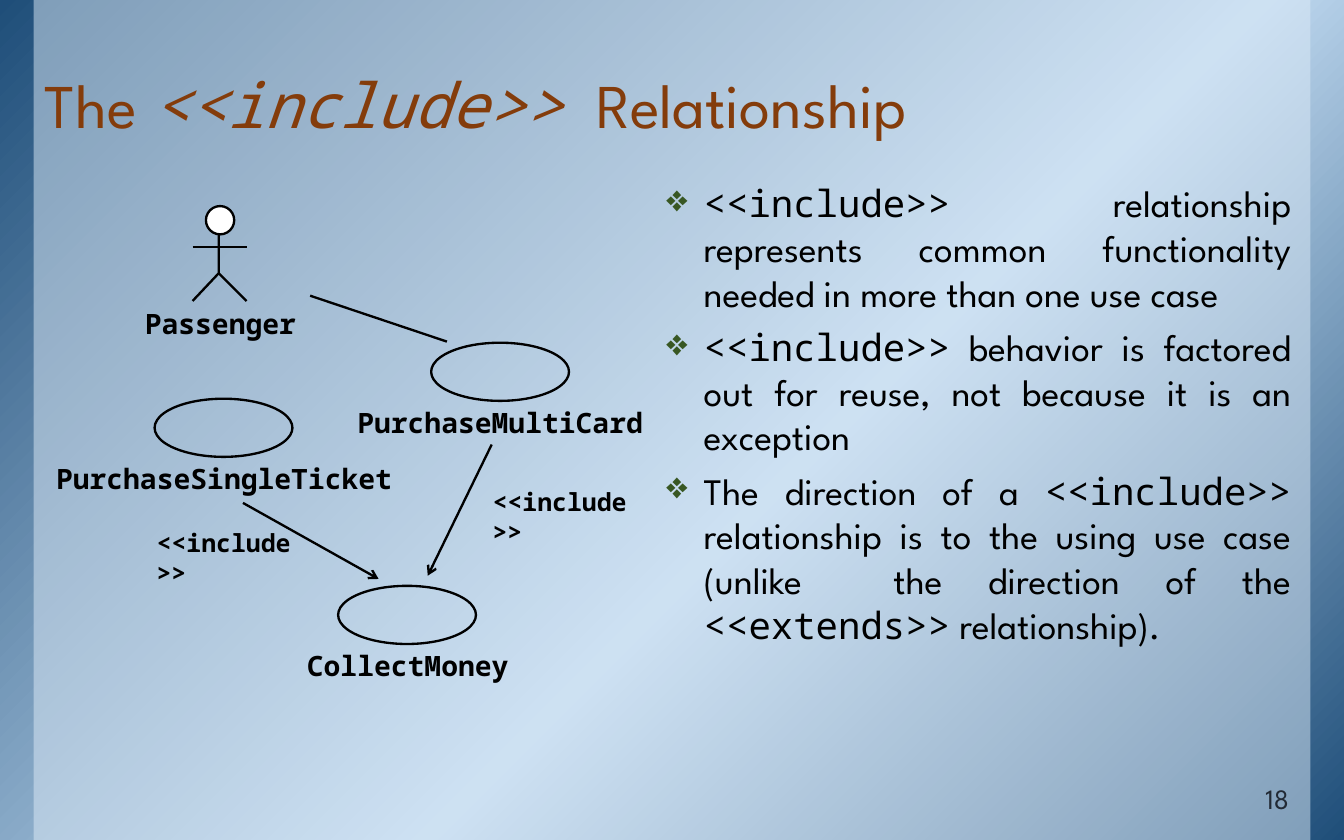
from copy import deepcopy
from dataclasses import dataclass
from typing import Any

from lxml.etree import SubElement
from pptx import Presentation
from pptx.dml.color import RGBColor
from pptx.enum.shapes import MSO_CONNECTOR, MSO_SHAPE
from pptx.enum.text import MSO_ANCHOR, PP_ALIGN
from pptx.oxml.ns import qn
from pptx.util import Pt

COLORS = {
    "edge": "1F4E79",
    "glow": "BDD7EE",
    "panel": "DEEBF7",
    "title": "843C0B",
    "bullet": "385723",
    "number": "222A35",
    "ink": "000000",
    "white": "FFFFFF",
}
SANS = "League Spartan"
MONO = "Noto Sans Mono"
WIDE_INSETS = (9.4, 5)
USE_CASE_SIZE = (88.6, 37.4)


def rgb(name):
    return RGBColor.from_string(COLORS[name])


@dataclass
class Diagram:
    slide: Any
    line_width: float = 1.5

    def shape(self, kind, left, top, width, height, fill=None, outlined=True):
        shape = self.slide.shapes.add_shape(kind, Pt(left), Pt(top), Pt(width), Pt(height))
        shape.shadow.inherit = False
        if fill:
            shape.fill.solid()
            shape.fill.fore_color.rgb = rgb(fill)
        else:
            shape.fill.background()
        self.outline(shape, outlined)
        return shape

    def outline(self, shape, outlined=True):
        if outlined:
            shape.line.color.rgb = rgb("ink")
            shape.line.width = Pt(self.line_width)
        else:
            shape.line.fill.background()

    def backdrop(self, width, height):
        shape = self.shape(MSO_SHAPE.RECTANGLE, 0, 0, width, height, outlined=False)
        shape.fill.gradient()
        shape.fill.gradient_angle = 315
        stop_list = next(shape._element.spPr.iter(qn("a:gsLst")))
        stop_list.insert(1, deepcopy(stop_list[0]))
        stops = zip(shape.fill.gradient_stops, (0, 0.58, 1), ("edge", "glow", "edge"))
        for stop, position, color in stops:
            stop.position = position
            stop.color.rgb = rgb(color)

    def panel(self, left, top, width, height):
        shape = self.shape(MSO_SHAPE.RECTANGLE, left, top, width, height, "panel", False)
        color = next(shape._element.spPr.iter(qn("a:srgbClr")))
        SubElement(color, qn("a:alpha"), val="50000")

    def line(self, start, end, arrow=False):
        points = [Pt(value) for value in (*start, *end)]
        connector = self.slide.shapes.add_connector(MSO_CONNECTOR.STRAIGHT, *points)
        self.outline(connector)
        properties = connector._element.spPr
        if arrow:
            SubElement(properties.find(qn("a:ln")), qn("a:tailEnd"), type="arrow")
        SubElement(properties, qn("a:effectLst"))

    def polyline(self, points):
        start, *rest = [(Pt(x), Pt(y)) for x, y in points]
        builder = self.slide.shapes.build_freeform(*start)
        builder.add_line_segments(rest, close=False)
        shape = builder.convert_to_shape()
        shape.shadow.inherit = False
        shape.fill.background()
        self.outline(shape)

    def text_frame(self, left, top, width, height, insets=(0, 0), wrap=True, anchor=MSO_ANCHOR.TOP):
        box = self.slide.shapes.add_textbox(Pt(left), Pt(top), Pt(width), Pt(height))
        frame = box.text_frame
        frame.word_wrap = wrap
        frame.vertical_anchor = anchor
        frame.margin_left = frame.margin_right = Pt(insets[0])
        frame.margin_top = frame.margin_bottom = Pt(insets[1])
        return frame

    def run(self, paragraph, text, size, font=SANS, color="ink", bold=False, italic=False):
        run = paragraph.add_run()
        run.text = text
        run.font.size = Pt(size)
        run.font.name = font
        run.font.bold = bold
        run.font.italic = italic
        run.font.color.rgb = rgb(color)

    def title(self, left, top, width, height, runs):
        frame = self.text_frame(left, top, width, height, WIDE_INSETS, anchor=MSO_ANCHOR.BOTTOM)
        paragraph = frame.paragraphs[0]
        paragraph.line_spacing = 0.85
        for text, size, font, italic in runs:
            self.run(paragraph, text, size, font, "title", italic=italic)

    def bullets(self, left, top, width, height, items):
        frame = self.text_frame(left, top, width, height, WIDE_INSETS)
        for index, runs in enumerate(items):
            paragraph = frame.add_paragraph() if index else frame.paragraphs[0]
            paragraph.alignment = PP_ALIGN.JUSTIFY
            paragraph.space_after = Pt(6)
            properties = paragraph._p.get_or_add_pPr()
            properties.set("marL", str(Pt(24)))
            properties.set("indent", str(-Pt(24)))
            bullet_color = SubElement(properties, qn("a:buClr"))
            SubElement(bullet_color, qn("a:srgbClr"), val=COLORS["bullet"])
            SubElement(properties, qn("a:buChar"), char="❖")
            for text in runs:
                self.run(paragraph, text, 24, MONO if text.startswith("<<") else SANS)

    def page_number(self, left, top, width, height, text):
        frame = self.text_frame(left, top, width, height, WIDE_INSETS, anchor=MSO_ANCHOR.BOTTOM)
        frame.paragraphs[0].alignment = PP_ALIGN.RIGHT
        self.run(frame.paragraphs[0], text, 18, color="number")

    def label(self, left, top, width, text):
        frame = self.text_frame(left, top, width, 21.6, wrap=False)
        self.run(frame.paragraphs[0], text, 18, MONO, bold=True)

    def stereotype(self, left, top):
        frame = self.text_frame(left, top, 108.7, 26.6, (7.2, 3.6), anchor=MSO_ANCHOR.MIDDLE)
        self.run(frame.paragraphs[0], "<<include>>", 16, MONO, bold=True)

    def use_case(self, left, top, label_left, label_width, name):
        self.shape(MSO_SHAPE.OVAL, left, top, *USE_CASE_SIZE)
        self.label(label_left, top + 40.2, label_width, name)

    def actor(self, left, top, name):
        center, right, hip, foot = left + 16.8, left + 34.7, top + 43.2, top + 61
        self.polyline([(center, top + 12.2), (center, hip), (left, foot)])
        self.line((center, hip), (right, foot))
        self.line((left, top + 26.4), (right, top + 26.4))
        self.shape(MSO_SHAPE.OVAL, left + 8.6, top, 18.2, 18.2, "white")
        self.label(left - 30.7, top + 64.8, 97.2, name)


def main():
    presentation = Presentation()
    presentation.slide_width = Pt(864)
    presentation.slide_height = Pt(540)
    diagram = Diagram(presentation.slides.add_slide(presentation.slide_layouts[6]))

    diagram.backdrop(864, 540)
    diagram.panel(21.6, 0, 820.8, 540)
    diagram.title(19.4, 5.8, 818, 90, [
        ("The ", 40, SANS, False),
        ("<<include>>", 40, MONO, True),
        (" ", 36, MONO, True),
        ("Relationship", 40, SANS, False),
    ])
    diagram.bullets(419, 110.9, 420.5, 383.8, [
        ["<<include>>", " relationship represents common functionality needed in more than one use case"],
        ["<<include>>", " behavior is factored out for reuse, not because it is an exception"],
        ["The direction of a ", "<<include>>",
         " relationship is to the using use case (unlike  the direction of the ",
         "<<extends>>", " relationship)."],
    ])
    diagram.page_number(759.6, 504, 78.5, 25.2, "18")

    diagram.actor(123.8, 132.5, "Passenger")
    diagram.use_case(99.4, 256.3, 36, 216, "PurchaseSingleTicket")
    diagram.use_case(277.2, 220.3, 229.7, 183.6, "PurchaseMultiCard")
    diagram.use_case(217.4, 376.6, 197.3, 129.6, "CollectMoney")
    diagram.line((199.4, 190.1), (287.3, 219.6))
    diagram.line((316.1, 285.8), (275, 370.1), arrow=True)
    diagram.line((156.2, 323.3), (243.4, 372.2), arrow=True)
    diagram.stereotype(309.6, 319)
    diagram.stereotype(93.6, 344.9)

    presentation.save("out.pptx")


if __name__ == "__main__":
    main()
